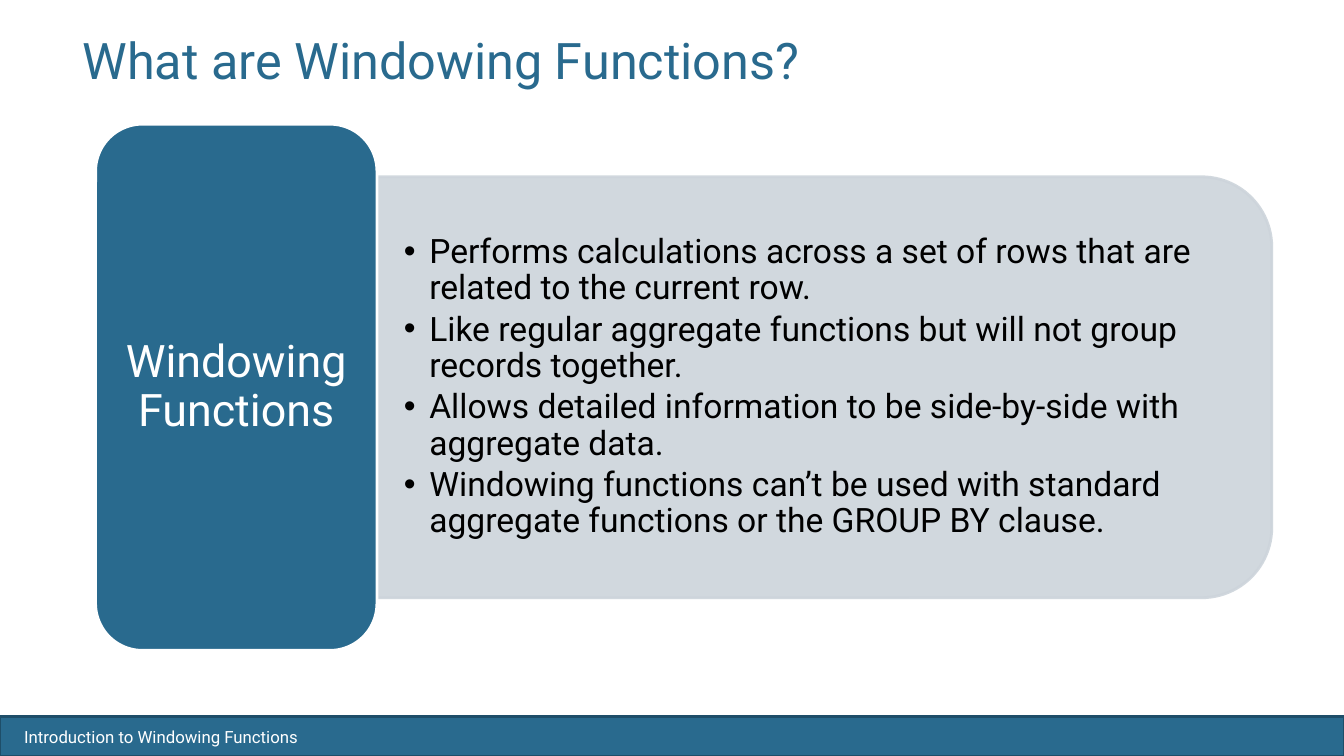
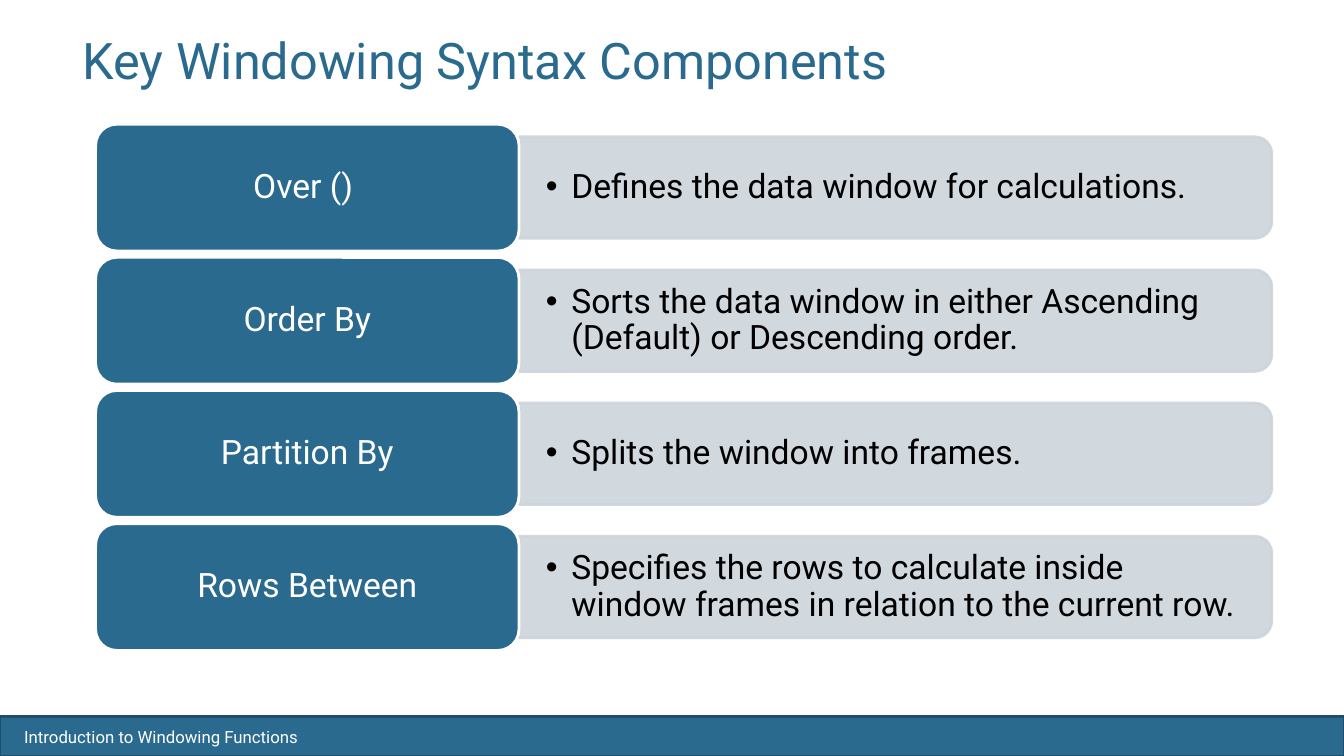
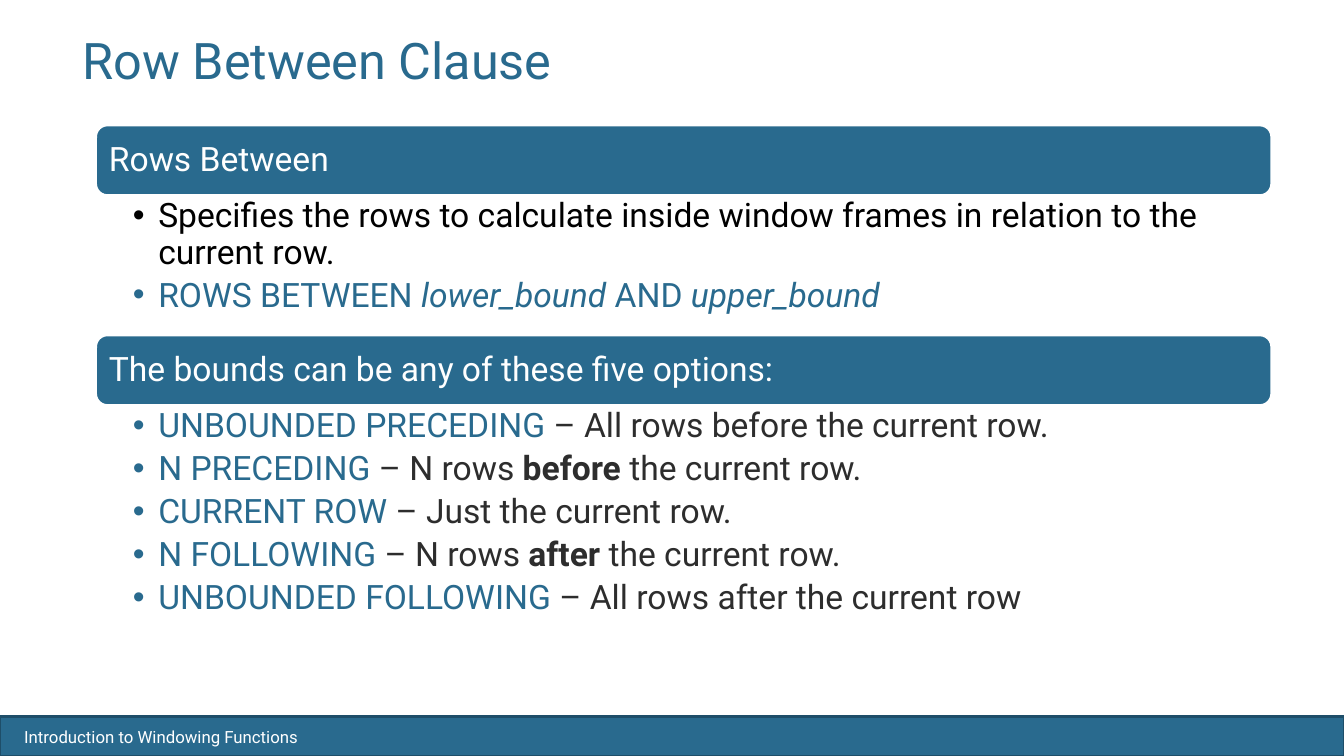
from lxml.etree import SubElement
from pptx import Presentation
from pptx.dml.color import RGBColor
from pptx.enum.shapes import MSO_SHAPE as Shape
from pptx.enum.text import MSO_ANCHOR as Anchor, MSO_AUTO_SIZE as AutoSize, PP_ALIGN as Align
from pptx.oxml.ns import qn
from pptx.util import Cm, Pt

FONT = "Roboto"
BLUE, DARK_BLUE, GREY = "296A8E", "1E4E69", "CDD4DB"
WHITE, BLACK, CHARCOAL = "FFFFFF", "000000", "2D2D2D"

PAGE_WIDTH, PAGE_HEIGHT, BAND_HEIGHT = 33.87, 19.05, 0.99
LEFT, RIGHT, TOP, HEIGHT = 2.41, 32.05, 3.13, 13.26
ROW_GAP, PANEL_SHARE, CORNER = 0.05, 0.8, 0.05
HEADING_TOP, HEADING_HEIGHT = 3.15, 1.78

FOOTER = "Introduction to Windowing Functions"

DEFINITION = {
    "title": "What are Windowing Functions?",
    "label_width": 7.09,
    "label_size": 32,
    "label_inset": (0.34, 0.17),
    "rows": [
        ("Windowing Functions", [
            "Performs calculations across a set of rows that are related to the current row.",
            "Like regular aggregate functions but will not group records together.",
            "Allows detailed information to be side-by-side with aggregate data.",
            "Windowing functions can’t be used with standard aggregate functions or the GROUP BY clause.",
        ]),
    ],
}

ROWS_MEANING = "Specifies the rows to calculate inside window frames in relation to the current row."

COMPONENTS = {
    "title": "Key Windowing Syntax Components",
    "label_width": 10.67,
    "label_size": 24,
    "label_inset": (0.25, 0.13),
    "rows": [
        ("Over () ", ["Defines the data window for calculations."]),
        ("Order By", ["Sorts the data window in either Ascending (Default) or Descending order."]),
        ("Partition By", ["Splits the window into frames."]),
        ("Rows Between", [ROWS_MEANING]),
    ],
}

CLAUSE_TITLE = "Row Between Clause"
CLAUSE_SECTIONS = [
    ("Rows Between", 3.51, [
        [(ROWS_MEANING, BLACK, "")],
        [("ROWS BETWEEN ", BLUE, ""), ("lower_bound", BLUE, "italic"),
         (" AND ", BLUE, ""), ("upper_bound", BLUE, "italic")],
    ]),
    ("The bounds can be any of these five options:", 6.15, [
        [("UNBOUNDED PRECEDING ", BLUE, ""), ("– All rows before the current row.", CHARCOAL, "")],
        [("N PRECEDING ", BLUE, ""), ("– N rows ", CHARCOAL, ""),
         ("before", CHARCOAL, "bold"), (" the current row.", CHARCOAL, "")],
        [("CURRENT ROW ", BLUE, ""), ("– Just the current row.", CHARCOAL, "")],
        [("N FOLLOWING ", BLUE, ""), ("– N rows ", CHARCOAL, ""),
         ("after", CHARCOAL, "bold"), (" the current row.", CHARCOAL, "")],
        [("UNBOUNDED FOLLOWING ", BLUE, ""), ("– All rows after the current row", CHARCOAL, "")],
    ]),
]


def colour(value):
    return RGBColor.from_string(value)


def format_font(font, size, value):
    font.name = FONT
    font.size = Pt(size)
    font.color.rgb = colour(value)


def set_frame(frame, anchor, side, end):
    frame.word_wrap = True
    frame.auto_size = AutoSize.NONE
    frame.vertical_anchor = anchor
    frame.margin_left = frame.margin_right = Cm(side)
    frame.margin_top = frame.margin_bottom = Cm(end)


def add_block(page, kind, left, top, width, height, fill, line):
    block = page.shapes.add_shape(kind, Cm(left), Cm(top), Cm(width), Cm(height))
    block.shadow.inherit = False
    block.fill.solid()
    block.fill.fore_color.rgb = colour(fill)
    block.line.color.rgb = colour(line)
    block.line.width = Pt(2)
    return block


def write_label(block, text, size, align, inset, spacing=0.9):
    set_frame(block.text_frame, Anchor.MIDDLE, *inset)
    block.text_frame.text = text
    para = block.text_frame.paragraphs[0]
    para.alignment = align
    para.line_spacing = spacing
    format_font(para.runs[0].font, size, WHITE)


def add_bullets(page, left, top, width, height, bullets, gap):
    box = page.shapes.add_textbox(Cm(left), Cm(top), Cm(width), Cm(height))
    frame = box.text_frame
    for index, spans in enumerate(bullets):
        para = frame.add_paragraph() if index else frame.paragraphs[0]
        properties = para._p.get_or_add_pPr()
        properties.set("marL", str(Cm(0.64)))
        properties.set("indent", str(-Cm(0.64)))
        SubElement(properties, qn("a:buFont")).set("typeface", "Arial")
        SubElement(properties, qn("a:buChar")).set("char", "•")
        para.line_spacing = 0.9
        if index:
            para.space_before = Pt(gap)
        for text, value, style in spans:
            span = para.add_run()
            span.text = text
            format_font(span.font, 24, value)
            if style:
                setattr(span.font, style, True)
    return frame


def add_panel(page, left, top, width, height):
    panel = add_block(page, Shape.ROUND_2_SAME_RECTANGLE,
                      left + (width - height) / 2, top + (height - width) / 2,
                      height, width, GREY, GREY)
    panel.rotation = 90
    for tint in panel._element.spPr.iter(qn("a:srgbClr")):
        SubElement(tint, qn("a:alpha")).set("val", "90000")


def add_page(deck, title):
    page = deck.slides.add_slide(deck.slide_layouts[5])
    heading = page.shapes.title
    heading.left, heading.top, heading.width, heading.height = Cm(1.83), Cm(0.89), Cm(30.23), Cm(1.27)
    heading.fill.solid()
    heading.fill.fore_color.rgb = colour(WHITE)
    set_frame(heading.text_frame, Anchor.TOP, 0.25, 0.13)
    heading.text_frame.text = title
    para = heading.text_frame.paragraphs[0]
    para.alignment = Align.LEFT
    para.line_spacing = Pt(35)
    format_font(para.runs[0].font, 36, BLUE)
    return page


def move_band_to_layout(page):
    band = add_block(page, Shape.RECTANGLE, 0, PAGE_HEIGHT - BAND_HEIGHT,
                     PAGE_WIDTH, BAND_HEIGHT, BLUE, DARK_BLUE)
    write_label(band, FOOTER, 12, Align.LEFT, (0.61, 0), 1.0)
    page.slide_layout.shapes.element.append(band._element)


def add_label_rows(page, content):
    rows, label_width = content["rows"], content["label_width"]
    row_height = HEIGHT / (len(rows) + ROW_GAP * (len(rows) - 1))
    panel_left, panel_width = LEFT + label_width, RIGHT - LEFT - label_width
    panel_height = row_height * PANEL_SHARE
    for index, (name, texts) in enumerate(rows):
        top = TOP + index * row_height * (1 + ROW_GAP)
        panel_top = top + (row_height - panel_height) / 2
        add_panel(page, panel_left, panel_top, panel_width, panel_height)
        bullets = [[(text, BLACK, "")] for text in texts]
        frame = add_bullets(page, panel_left, panel_top, panel_width - panel_height * CORNER,
                            panel_height, bullets, 3.6)
        set_frame(frame, Anchor.MIDDLE, 0.68, 0.34)
        label = add_block(page, Shape.ROUNDED_RECTANGLE, LEFT, top, label_width, row_height, BLUE, WHITE)
        write_label(label, name, content["label_size"], Align.CENTER, content["label_inset"])


def add_sections(page, sections):
    top, width = HEADING_TOP, RIGHT - LEFT
    for name, body_height, bullets in sections:
        heading = add_block(page, Shape.ROUNDED_RECTANGLE, LEFT, top, width, HEADING_HEIGHT, BLUE, WHITE)
        write_label(heading, name, 24, Align.LEFT, (0.25, 0.25))
        top += HEADING_HEIGHT
        frame = add_bullets(page, LEFT, top, width, body_height, bullets, 4.8)
        set_frame(frame, Anchor.TOP, 0.48, 0.08)
        frame.margin_left = Cm(0.94)
        top += body_height


def main():
    deck = Presentation()
    deck.slide_width, deck.slide_height = Cm(PAGE_WIDTH), Cm(PAGE_HEIGHT)
    for content in (DEFINITION, COMPONENTS):
        add_label_rows(add_page(deck, content["title"]), content)
    clause_page = add_page(deck, CLAUSE_TITLE)
    add_sections(clause_page, CLAUSE_SECTIONS)
    move_band_to_layout(clause_page)
    deck.save("out.pptx")


if __name__ == "__main__":
    main()
